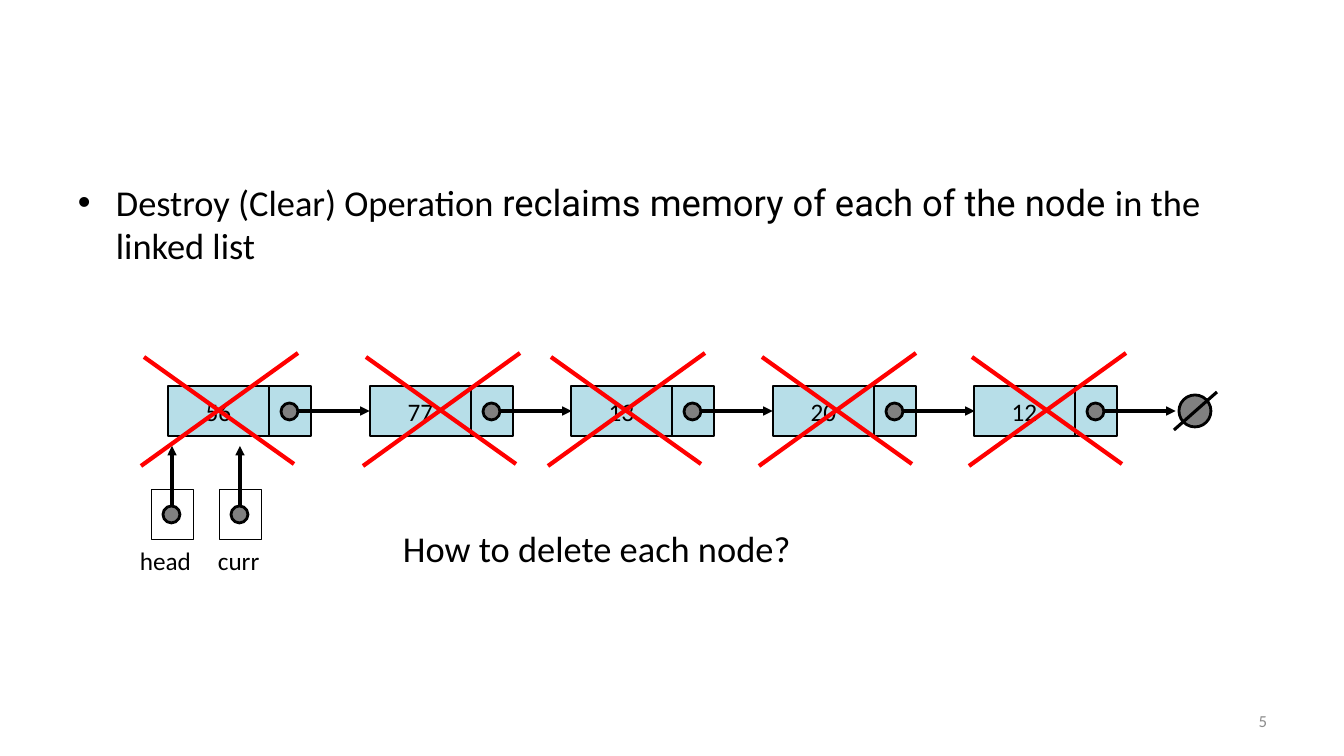
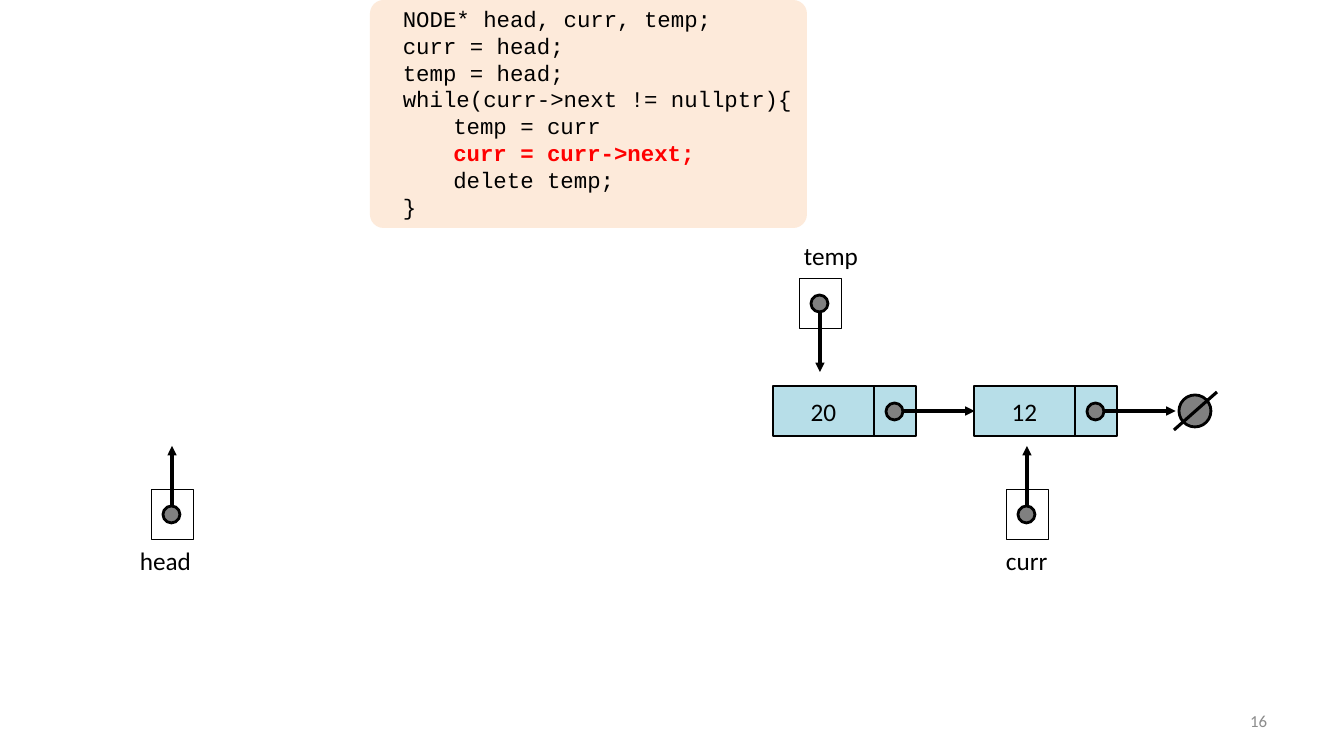
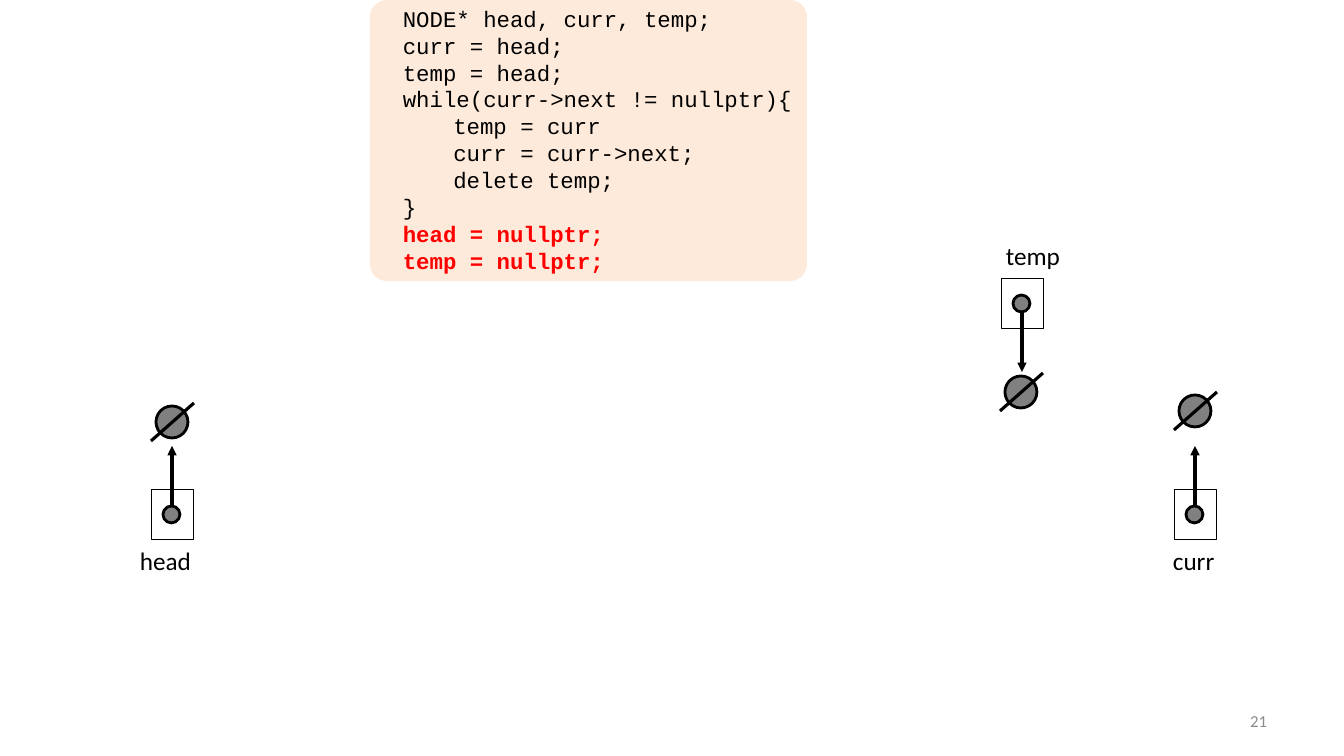
from dataclasses import dataclass
from typing import Optional, Sequence

from lxml.etree import SubElement
from pptx import Presentation
from pptx.dml.color import RGBColor
from pptx.enum.shapes import MSO_CONNECTOR, MSO_SHAPE
from pptx.enum.text import MSO_ANCHOR as Anchor, PP_ALIGN as Align
from pptx.oxml.ns import qn
from pptx.util import Emu, Pt

SCALE = 914400 / 100.8  # EMU per pixel
COLORS = {
    "ink": "000000",
    "node": "B7DEE8",
    "dot": "808080",
    "red": "FF0000",
    "panel": "FDEADA",
    "footer": "8C8C8C",
}
BODY_FONT, CODE_FONT, ACCENT_FONT = "Calibri", "Courier New", "Roboto"

# Linked list geometry
NODE_LEFT, NODE_PITCH, NODE_TOP = 168, 201.6, 386
DATA_W, LINK_W, CELL_H = 101, 42, 50
DOT, DOT_DX, DOT_DY = 17, 12, 17
POINTER_TOP, TEMP_TOP, ARROW_LEN = 489, 278, 60
VALUES = ("56", "77", "13", "20", "12")
CROSS_LEFTS = (141, 363, 548, 759, 969)


@dataclass(frozen=True)
class Pointer:
    """A named pointer box; its arrow goes up, or down when it sits above."""
    name: str
    left: int
    label_dx: int
    above: bool = False


@dataclass(frozen=True)
class Null:
    """Left and top of the circle that marks a null pointer."""
    left: int
    top: int


@dataclass(frozen=True)
class CodeLine:
    """A line of code, with its indent level and emphasis."""
    text: str
    level: int = 0
    hot: bool = False


@dataclass(frozen=True)
class ListSlide:
    """One state of the list."""
    number: int
    nodes: Sequence[int]
    pointers: Sequence[Pointer]
    nulls: Sequence[Null]
    code: Sequence[CodeLine] = ()
    panel_h: int = 0


def px(value: float) -> Emu:
    """Turn pixels into EMU."""
    return Emu(round(value * SCALE))


def rgb(name: str) -> RGBColor:
    """Look up a named colour."""
    return RGBColor.from_string(COLORS[name])


def add_run(p, text: str, *, size: float = 18, font: str = BODY_FONT,
            color: str = "ink", bold: bool = False) -> None:
    """Add a formatted run to a paragraph."""
    r = p.add_run()
    r.text = text
    r.font.size, r.font.name, r.font.bold = Pt(size), font, bold
    r.font.color.rgb = rgb(color)


def add_text(s, text: str, left: int, top: int, width: int, height: int, *,
             align: Align = Align.LEFT, anchor: Anchor = Anchor.TOP, **fmt):
    """Add a wrapped text box and return its text frame."""
    tf = s.shapes.add_textbox(px(left), px(top), px(width), px(height)).text_frame
    tf.word_wrap, tf.vertical_anchor = True, anchor
    tf.paragraphs[0].alignment = align
    if text:
        add_run(tf.paragraphs[0], text, **fmt)
    return tf


def add_box(s, kind: MSO_SHAPE, left: float, top: float, width: int, height: int, *,
            fill: Optional[str] = None, line: float = 0, text: str = ""):
    """Add a preset shape; no fill or line unless given."""
    sp = s.shapes.add_shape(kind, px(left), px(top), px(width), px(height))
    sp.shadow.inherit = False
    if fill:
        sp.fill.solid()
        sp.fill.fore_color.rgb = rgb(fill)
    else:
        sp.fill.background()
    if line:
        sp.line.color.rgb, sp.line.width = rgb("ink"), Pt(line)
    else:
        sp.line.fill.background()
    if text:
        tf = sp.text_frame
        tf.vertical_anchor = Anchor.MIDDLE
        tf.paragraphs[0].alignment = Align.CENTER
        add_run(tf.paragraphs[0], text)
    return sp


def add_line(s, x1: float, y1: float, x2: float, y2: float, *,
             color: str = "ink", width: float = 2.25, arrow: bool = False) -> None:
    """Add a straight line, with an arrowhead at its end if asked."""
    c = s.shapes.add_connector(MSO_CONNECTOR.STRAIGHT, px(x1), px(y1), px(x2), px(y2))
    c.line.color.rgb, c.line.width = rgb(color), Pt(width)
    if arrow:
        SubElement(c.line._get_or_add_ln(), qn("a:tailEnd"), type="triangle")
    SubElement(c._element.spPr, qn("a:effectLst"))


def add_link_cell(s, left: float, top: float, *, fill: Optional[str] = None,
                  line: float = 1) -> None:
    """Draw a pointer cell with its dot."""
    add_box(s, MSO_SHAPE.RECTANGLE, left, top, LINK_W, CELL_H, fill=fill, line=line)
    add_box(s, MSO_SHAPE.OVAL, left + DOT_DX, top + DOT_DY, DOT, DOT,
            fill="dot", line=2)


def add_node(s, index: int) -> None:
    """Draw a list node and the arrow to the next one."""
    left = round(NODE_LEFT + index * NODE_PITCH)
    link, mid = left + DATA_W, NODE_TOP + CELL_H / 2
    add_box(s, MSO_SHAPE.RECTANGLE, left, NODE_TOP, DATA_W, CELL_H,
            fill="node", line=1, text=VALUES[index])
    add_link_cell(s, link, NODE_TOP, fill="node")
    add_line(s, link + DOT_DX + DOT, mid, left + NODE_PITCH, mid, arrow=True)


def add_pointer(s, ptr: Pointer) -> None:
    """Draw a pointer box, its arrow and its label."""
    top = TEMP_TOP if ptr.above else POINTER_TOP
    x, dot_top = ptr.left + LINK_W / 2, top + DOT_DY
    add_link_cell(s, ptr.left, top, line=0.25)
    start = dot_top + DOT if ptr.above else dot_top
    end = start + ARROW_LEN if ptr.above else start - ARROW_LEN
    add_line(s, x, start, x, end, arrow=True)
    label_top = top - 43 if ptr.above else top + CELL_H + 1
    add_text(s, ptr.name, ptr.left + ptr.label_dx, label_top, 80, 40)


def add_null(s, null: Null) -> None:
    """Draw the struck-out circle of a null pointer."""
    x, y = null.left, null.top
    add_box(s, MSO_SHAPE.OVAL, x, y, 32, 32, fill="dot", line=2)
    add_line(s, x + 38, y - 3, x - 5, y + 35)


def add_cross(s, left: int) -> None:
    """Cross out a node."""
    add_line(s, left + 157, 353, left, 466, color="red", width=3)
    add_line(s, left + 3, 357, left + 153, 464, color="red", width=3)


def add_code(s, lines: Sequence[CodeLine], height: int) -> None:
    """Draw the code panel and its lines."""
    panel = add_box(s, MSO_SHAPE.ROUNDED_RECTANGLE, 370, 0, 437, height, fill="panel")
    panel.adjustments[0] = 0.06
    tf = add_text(s, "", 393, 0, 494, height)
    for i, line in enumerate(lines):
        p = tf.add_paragraph() if i else tf.paragraphs[0]
        if line.level:
            p._p.get_or_add_pPr().set("marL", str(px(50.4 * line.level)))
        add_run(p, line.text, size=16, font=CODE_FONT, bold=line.hot,
                color="red" if line.hot else "ink")


def add_intro(s) -> None:
    """Add the bulleted statement, the question and the crosses."""
    p = add_text(s, "", 68, 175, 1210, 499).paragraphs[0]
    p.space_before = Pt(5)
    pPr = p._p.get_or_add_pPr()
    pPr.set("marL", str(px(38)))
    pPr.set("indent", str(px(-38)))
    SubElement(pPr, qn("a:buFont"), typeface="Arial")
    SubElement(pPr, qn("a:buChar"), char="•")
    for text, font in (("Destroy (Clear) Operation ", BODY_FONT),
                       ("reclaims memory of each of the node", ACCENT_FONT),
                       (" in the linked list", BODY_FONT)):
        add_run(p, text, size=26, font=font)
    add_text(s, "How to delete each node?", 393, 521, 861, 54, size=26)
    for left in CROSS_LEFTS:
        add_cross(s, left)


def add_list_slide(prs, state: ListSlide):
    """Add a slide that shows one state of the list."""
    s = prs.slides.add_slide(prs.slide_layouts[6])
    if state.code:
        add_code(s, state.code, state.panel_h)
    add_text(s, str(state.number), 964, 701, 313, 40, align=Align.RIGHT,
             anchor=Anchor.MIDDLE, size=12, color="footer")
    for index in state.nodes:
        add_node(s, index)
    for ptr in state.pointers:
        add_pointer(s, ptr)
    for null in state.nulls:
        add_null(s, null)
    return s


def loop_code(hot_step: bool = False) -> list[CodeLine]:
    """Return the delete loop, with the step to the next node marked if asked."""
    return [
        CodeLine("NODE* head, curr, temp;"),
        CodeLine("curr = head;"),
        CodeLine("temp = head;"),
        CodeLine("while(curr->next != nullptr){"),
        CodeLine("temp = curr", 1),
        CodeLine("curr = curr->next;", 1, hot_step),
        CodeLine("delete temp;", 1),
        CodeLine("}"),
    ]


def main() -> None:
    """Build and save the presentation."""
    prs = Presentation()
    prs.slide_width, prs.slide_height = px(1344), px(756)
    head, tail = Pointer("head", 151, -21), Null(1179, 395)

    s = add_list_slide(prs, ListSlide(
        5, range(5), (head, Pointer("curr", 219, -11)), (tail,)))
    add_intro(s)
    add_list_slide(prs, ListSlide(
        16, (3, 4),
        (head, Pointer("curr", 1006, -10), Pointer("temp", 799, -5, above=True)),
        (tail,), loop_code(hot_step=True), 228))
    add_list_slide(prs, ListSlide(
        21, (),
        (head, Pointer("curr", 1174, -11), Pointer("temp", 1001, -5, above=True)),
        (tail, Null(1005, 376), Null(156, 406)),
        loop_code() + [CodeLine("head = nullptr;", hot=True),
                       CodeLine("temp = nullptr;", hot=True)], 281))
    prs.save("out.pptx")


main()
